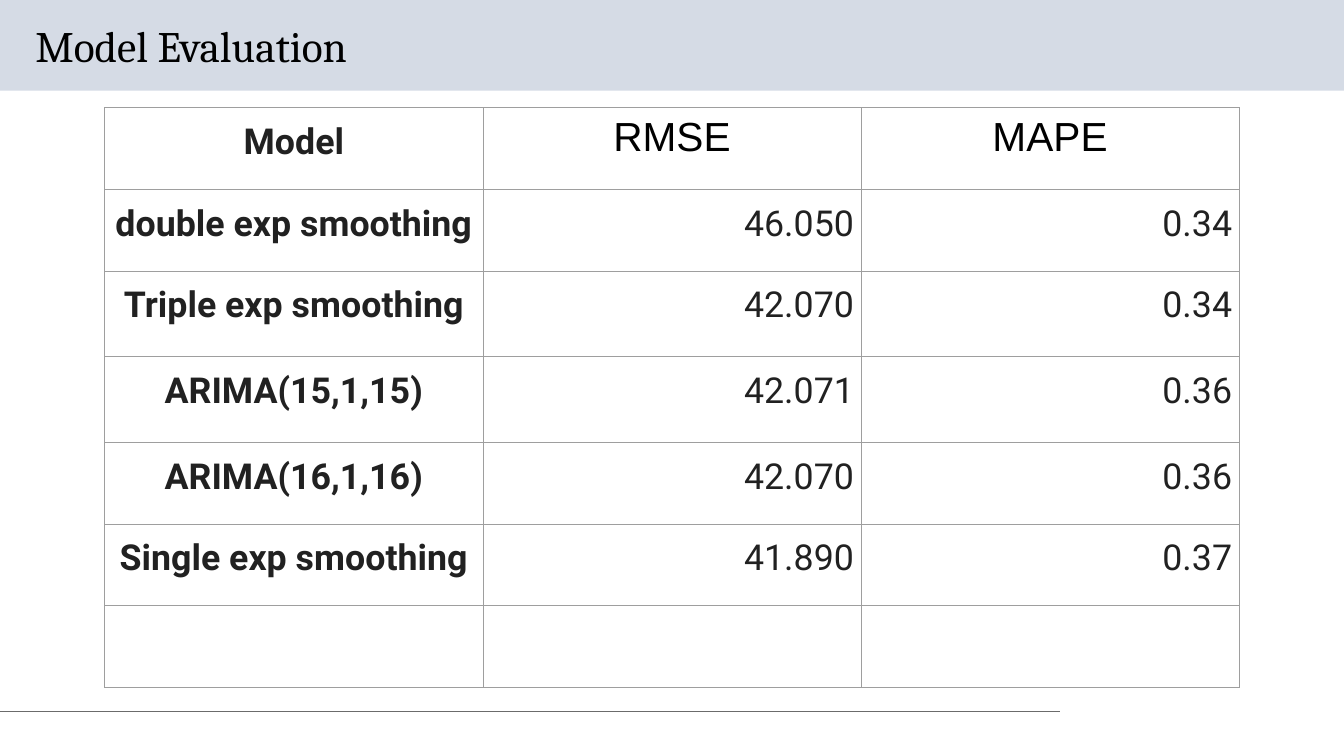
import pptx
import pptx.util
import pptx.dml.color
import pptx.enum.shapes
import pptx.enum.text
import pptx.oxml

Inches, Pt = pptx.util.Inches, pptx.util.Pt
Align = pptx.enum.text.PP_ALIGN
Anchor = pptx.enum.text.MSO_ANCHOR
NS = 'xmlns:a="http://schemas.openxmlformats.org/drawingml/2006/main"'
COLORS = {"band": "D5DBE5", "rule": "6B6B6B", "grid": "9E9E9E",
          "black": "000000", "text": "212121"}


def color(name):
    return pptx.dml.color.RGBColor.from_string(COLORS[name])


def style(par, font, size, tint, bold, align, space):
    par.alignment = align
    par.line_spacing = space
    for run in par.runs:
        run.font.name = font
        run.font.size = Pt(size)
        run.font.bold = bold
        run.font.color.rgb = color(tint)


deck = pptx.Presentation()
deck.slide_width, deck.slide_height = Inches(13.33), Inches(7.5)
slide = deck.slides.add_slide(deck.slide_layouts[5])
shapes = slide.shapes
title = shapes.title

# Header band and footer rule
band = shapes.add_shape(pptx.enum.shapes.MSO_SHAPE.RECTANGLE,
                        0, 0, Inches(13.33), Inches(0.9))
band.shadow.inherit = False
band.fill.solid()
band.fill.fore_color.rgb = color("band")
band.line.fill.background()

rule = shapes.add_connector(pptx.enum.shapes.MSO_CONNECTOR.STRAIGHT,
                            0, Inches(7.06), Inches(10.51), Inches(7.06))
rule.line.color.rgb = color("rule")
rule.line.width = Pt(0.75)
rule._element.spPr.append(pptx.oxml.parse_xml(f"<a:effectLst {NS}/>"))

# Title, brought in front of the band
band._element.addnext(title._element)
title.left, title.top = Inches(0.25), Inches(0.2)
title.width, title.height = Inches(11.5), Inches(0.57)
frame = title.text_frame
frame.text = "Model Evaluation"
frame.vertical_anchor = Anchor.MIDDLE
frame.auto_size = pptx.enum.text.MSO_AUTO_SIZE.NONE
style(frame.paragraphs[0], "Cambria", 31, "black", False, Align.LEFT, 0.9)

# Score table
ROWS = [
    ("Model", "RMSE", "MAPE"),
    ("double exp smoothing", "46.050", "0.34"),
    ("Triple exp smoothing", "42.070", "0.34"),
    ("ARIMA(15,1,15)", "42.071", "0.36"),
    ("ARIMA(16,1,16)", "42.070", "0.36"),
    ("Single exp smoothing", "41.890", "0.37"),
    ("", "", ""),
]
HEIGHTS = [0.81, 0.81, 0.85, 0.85, 0.81, 0.81, 0.81]
table = shapes.add_table(len(ROWS), 3, Inches(1.04), Inches(1.07),
                         Inches(11.25), Inches(sum(HEIGHTS))).table
table.first_row = table.horz_banding = False
for col in table.columns:
    col.width = Inches(3.75)

for r, (row, height) in enumerate(zip(ROWS, HEIGHTS)):
    table.rows[r].height = Inches(height)
    for c, text in enumerate(row):
        cell = table.cell(r, c)
        cell.fill.background()
        cell.margin_left = cell.margin_right = Inches(0.07)
        cell.margin_top = cell.margin_bottom = Inches(0.07)
        cell.text_frame.text = text
        par = cell.text_frame.paragraphs[0]
        if c == 0:
            style(par, "Roboto", 25.5, "text", True, Align.CENTER, 1.15)
        elif r == 0:
            style(par, "Arial", 29, "black", False, Align.CENTER, 1.0)
        else:
            style(par, "Roboto", 25.5, "text", False, Align.RIGHT, 1.15)
        props = cell._tc.get_or_add_tcPr()
        for i, side in enumerate("LRTB"):
            props.insert(i, pptx.oxml.parse_xml(
                f'<a:ln{side} {NS} w="9525"><a:solidFill>'
                f'<a:srgbClr val="{COLORS["grid"]}"/>'
                f'</a:solidFill></a:ln{side}>'))

deck.save("out.pptx")
